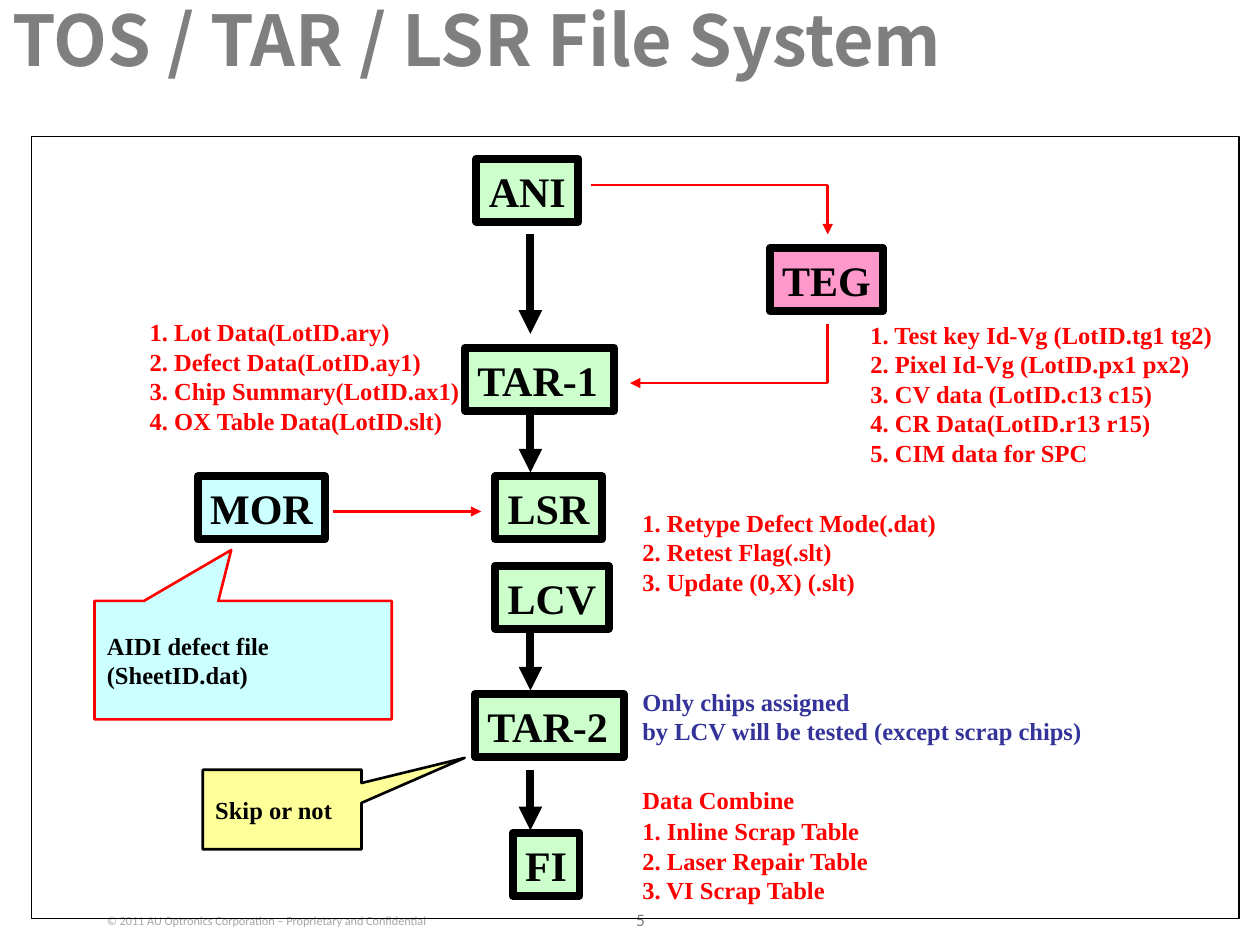
from dataclasses import dataclass

from lxml import etree
from pptx import Presentation
from pptx import util as u
from pptx.dml.color import RGBColor
from pptx.enum import shapes, text
from pptx.oxml.ns import qn


@dataclass(frozen=True)
class Theme:
    serif: str = "Times New Roman"
    sans: str = "Calibri"
    heading: str = "Noto Sans CJK SC"
    black: str = "000000"
    red: str = "FF0000"
    navy: str = "333399"
    title_grey: str = "7F7F7F"
    page_grey: str = "808080"
    footer_grey: str = "A6A6A6"
    green: str = "CCFFCC"
    cyan: str = "CCFFFF"
    pink: str = "FF99CC"
    yellow: str = "FFFF99"
    title_size: float = 40
    node_size: float = 24
    note_size: float = 14
    page_size: float = 10
    footer_size: float = 7
    thick: float = 4.5
    thin: float = 1.5
    hairline: float = 0.75


THEME = Theme()


def write(frame, content, *, size=THEME.note_size, color=THEME.black, font=THEME.serif,
          bold=True, align=text.PP_ALIGN.LEFT, anchor=text.MSO_ANCHOR.TOP,
          wrap=False, spacing=None):
    """Fill a text frame, one paragraph per line of content."""
    frame.word_wrap = wrap
    frame.vertical_anchor = anchor
    for index, line in enumerate(content.split("\n")):
        para = frame.paragraphs[0] if index == 0 else frame.add_paragraph()
        para.alignment = align
        para.line_spacing = spacing or u.Pt(size * 1.2)
        span = para.add_run()
        span.text = line
        span.font.size = u.Pt(size)
        span.font.name = font
        span.font.bold = bold
        span.font.color.rgb = RGBColor.from_string(color)


class SlideBuilder:
    def __init__(self, page, theme):
        self.page = page
        self.theme = theme

    def text_box(self, left, top, width, height, content, **style):
        box = self.page.shapes.add_textbox(*map(u.Pt, (left, top, width, height)))
        write(box.text_frame, content, **style)

    def shape(self, kind, bounds, fill, line, weight):
        box = self.page.shapes.add_shape(kind, *map(u.Pt, bounds))
        box.shadow.inherit = False
        if fill:
            box.fill.solid()
            box.fill.fore_color.rgb = RGBColor.from_string(fill)
        else:
            box.fill.background()
        box.line.color.rgb = RGBColor.from_string(line)
        box.line.width = u.Pt(weight)
        return box

    def frame(self, *bounds):
        self.shape(shapes.MSO_SHAPE.RECTANGLE, bounds, None,
                   self.theme.black, self.theme.hairline)

    def node(self, label, left, top, width, fill):
        box = self.shape(shapes.MSO_SHAPE.RECTANGLE, (left, top, width, 36), fill,
                         self.theme.black, self.theme.thick)
        write(box.text_frame, label, size=self.theme.node_size,
              anchor=text.MSO_ANCHOR.MIDDLE)

    def callout(self, content, bounds, pointer, fill, line):
        box = self.shape(shapes.MSO_SHAPE.RECTANGULAR_CALLOUT, bounds, fill, line,
                         self.theme.thin)
        box.adjustments[0], box.adjustments[1] = pointer
        write(box.text_frame, content, wrap=True, anchor=text.MSO_ANCHOR.MIDDLE)

    def line(self, start, end, color, weight, arrow=True):
        link = self.page.shapes.add_connector(
            shapes.MSO_CONNECTOR.STRAIGHT, *map(u.Pt, (*start, *end)))
        link.line.color.rgb = RGBColor.from_string(color)
        link.line.width = u.Pt(weight)
        if arrow:
            etree.SubElement(link.line._get_or_add_ln(), qn("a:tailEnd"), type="triangle")
        etree.SubElement(link._element.spPr, qn("a:effectLst"))

    def route(self, *points):
        """Draw a thin red path with an arrowhead on its last leg."""
        for index, (start, end) in enumerate(zip(points, points[1:]), 2):
            self.line(start, end, self.theme.red, self.theme.thin,
                      arrow=index == len(points))


def main():
    deck = Presentation()
    deck.slide_width, deck.slide_height = u.Pt(720), u.Pt(540)
    page = deck.slides.add_slide(deck.slide_layouts[6])
    slide = SlideBuilder(page, THEME)

    slide.text_box(40.3, 518.4, 224, 15.8,
                   "© 2011 AU Optronics Corporation – Proprietary and Confidential",
                   size=THEME.footer_size, color=THEME.footer_grey, font=THEME.sans,
                   bold=False, align=text.PP_ALIGN.CENTER)
    slide.text_box(342, 516.2, 48.2, 20.9, "5", size=THEME.page_size,
                   color=THEME.page_grey, font=THEME.sans, bold=False,
                   align=text.PP_ALIGN.CENTER, wrap=True)
    slide.frame(18, 77.8, 690, 447.1)

    for label, left, top, width, fill in (
        ("ANI", 272.2, 90.7, 58.3, THEME.green),
        ("TAR-1", 265.7, 198.7, 85, THEME.green),
        ("TAR-2", 271.4, 396.7, 85, THEME.green),
        ("LSR", 283, 272.2, 61.2, THEME.green),
        ("LCV", 283, 323.3, 64.8, THEME.green),
        ("FI", 293, 475.9, 38.2, THEME.green),
        ("MOR", 113, 272.2, 72.7, THEME.cyan),
        ("TEG", 439.9, 141.8, 64.8, THEME.pink),
    ):
        slide.node(label, left, top, width, fill)

    spine = 303.1
    for top, bottom in ((133.9, 190.8), (236.2, 270), (360.7, 394.6), (439.9, 474.5)):
        slide.line((spine, top), (spine, bottom), THEME.black, THEME.thick)

    branch = 473
    slide.route((337.7, 105.8), (branch, 105.8), (branch, 133.9))
    slide.route((branch, 185), (branch, 218.9), (360, 218.9))
    slide.route((190.1, 292.3), (275, 292.3))

    slide.callout("AIDI defect file (SheetID.dat)", (54, 343.4, 169.9, 67.7),
                  (-0.04, -0.93), THEME.cyan, THEME.red)
    slide.callout("Skip or not", (115.9, 439.9, 90.7, 45.4),
                  (1.15, -0.65), THEME.yellow, THEME.black)

    notes_left = 360
    for left, top, width, height, content in (
        (490.3, 179.3, 211, 91.4,
         "1. Test key Id-Vg (LotID.tg1 tg2)\n2. Pixel Id-Vg (LotID.px1 px2)\n"
         "3. CV data (LotID.c13 c15)\n4. CR Data(LotID.r13 r15)\n5. CIM data for SPC"),
        (78.5, 177.8, 191.5, 74.9,
         "1. Lot Data(LotID.ary)\n2. Defect Data(LotID.ay1)\n"
         "3. Chip Summary(LotID.ax1)\n4. OX Table Data(LotID.slt)"),
        (notes_left, 286.6, 182.2, 57.6,
         "1. Retype Defect Mode(.dat)\n2. Retest Flag(.slt)\n3. Update (0,X) (.slt)"),
        (notes_left, 463, 145.4, 57.6,
         "1. Inline Scrap Table\n2. Laser Repair Table\n3. VI Scrap Table"),
        (notes_left, 445, 101.5, 24.5, "Data Combine"),
    ):
        slide.text_box(left, top, width, height, content, color=THEME.red)
    slide.text_box(notes_left, 388.8, 277.9, 41,
                   "Only chips assigned\nby LCV will be tested (except scrap chips)",
                   color=THEME.navy, wrap=True)

    slide.text_box(0, 0, 609.8, 60.5, "TOS / TAR / LSR File System",
                   size=THEME.title_size, color=THEME.title_grey, font=THEME.heading,
                   wrap=True, spacing=0.9)
    deck.save("out.pptx")


if __name__ == "__main__":
    main()
